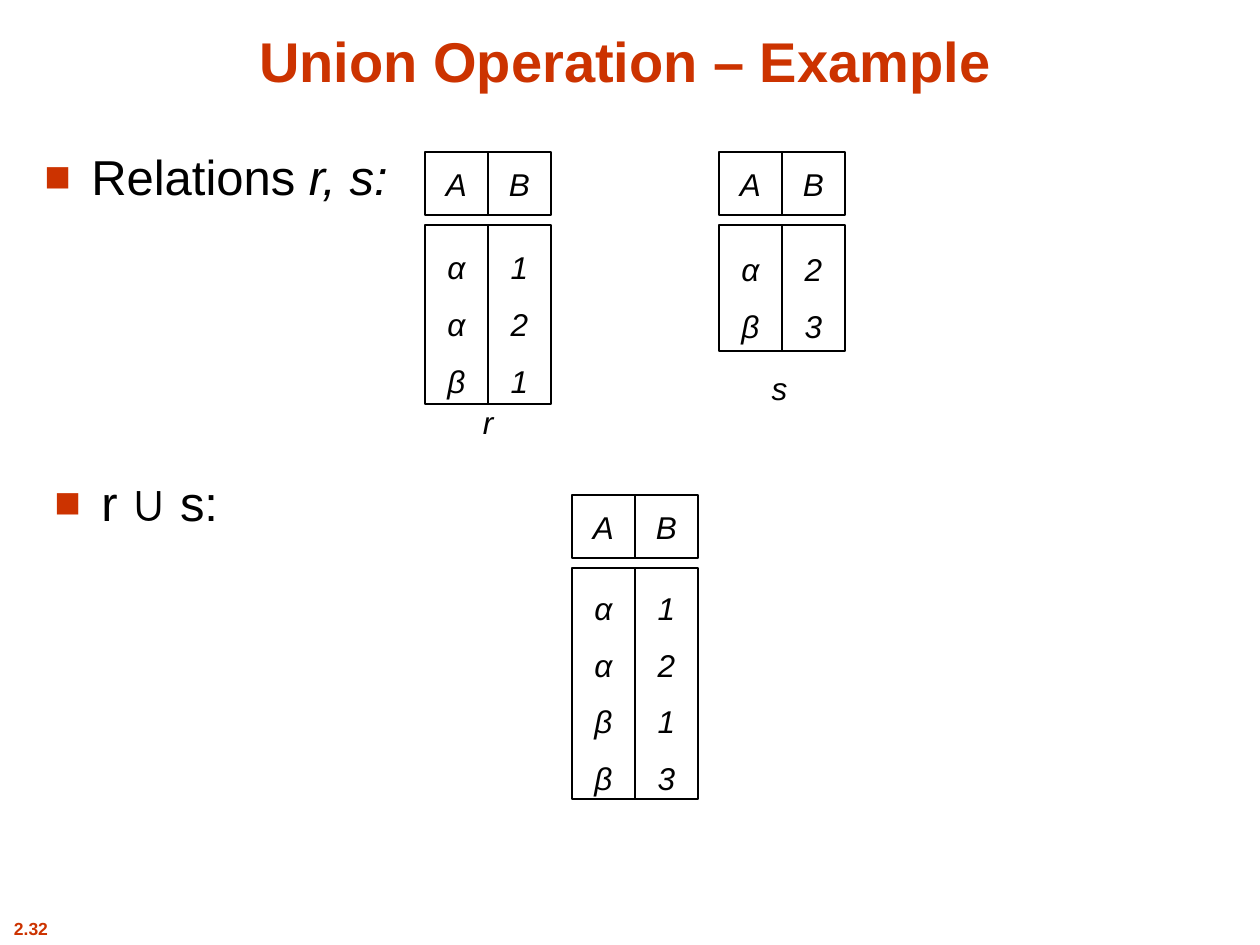
import pptx
import pptx.util
import pptx.dml.color
import pptx.enum.shapes
import pptx.enum.text
from dataclasses import dataclass
from lxml import etree

ALIGN = pptx.enum.text.PP_ALIGN
ANCHOR = pptx.enum.text.MSO_ANCHOR


@dataclass(frozen=True)
class Theme:
    font: str = "Arial"
    accent: str = "CC3300"
    ink: str = "000000"
    paper: str = "FFFFFF"
    title: int = 32
    bullet: int = 28
    cell: int = 18
    number: int = 10
    border: float = 0.75


THEME = Theme()

# Content: places are left, top, width, height in px
TITLE = ("Union Operation – Example", (32, 16, 1187, 84))
BULLETS = [
    ([("Relations ", False), ("r, s:", True)], (32, 147, 388, 116)),
    ([("r ∪ s:", False)], (42, 473, 252, 73)),
]
RELATIONS = [  # left, top, body height, columns
    (425, 152, 179, {"A": ["α", "α", "β"], "B": ["1", "2", "1"]}),
    (719, 152, 126, {"A": ["α", "β"], "B": ["2", "3"]}),
    (572, 495, 231, {"A": ["α", "α", "β", "β"], "B": ["1", "2", "1", "3"]}),
]
NAMES = [("r", (470, 397, 36, 50)), ("s", (759, 363, 41, 50))]
NUMBER = ("2.32", (0, 911, 62, 34))
CELL, GAP = 63, 10


def px(length):
    return pptx.util.Emu(round(length * 914400 / 126))


def color(code):
    return pptx.dml.color.RGBColor.from_string(code)


def style(para, size, code=THEME.ink, bold=False, italic=None, align=ALIGN.CENTER):
    para.alignment = align
    font = para.font
    font.name, font.size = THEME.font, pptx.util.Pt(size)
    font.bold, font.italic = bold, italic
    font.color.rgb = color(code)


def add_text(page, place):
    return page.shapes.add_textbox(*map(px, place)).text_frame


def add_label(page, text, place, size, **look):
    frame = add_text(page, place)
    frame.word_wrap = False
    frame.vertical_anchor = ANCHOR.MIDDLE
    frame.text = text
    style(frame.paragraphs[0], size, **look)


def add_bullet(page, spans, place):
    frame = add_text(page, place)
    frame.word_wrap = True
    para = frame.paragraphs[0]
    style(para, THEME.bullet, align=ALIGN.LEFT)
    para.line_spacing = 0.9
    for text, italic in spans:
        span = para.add_run()
        span.text = text
        span.font.italic = italic
    # Square bullet with hanging indent, placed before the default run properties
    props = para._p.get_or_add_pPr()
    props.set("marL", str(px(47)))
    props.set("indent", str(-px(47)))
    space = "http://schemas.openxmlformats.org/drawingml/2006/main"
    marks = etree.fromstring(
        f'<m xmlns:a="{space}"><a:buClr><a:srgbClr val="{THEME.accent}"/></a:buClr>'
        '<a:buSzPct val="90000"/><a:buFont typeface="Arial"/><a:buChar char="■"/></m>')
    defaults = props.find(f"{{{space}}}defRPr")
    for mark in list(marks):
        defaults.addprevious(mark)


def add_cell(page, lines, place, spacing):
    box = page.shapes.add_shape(pptx.enum.shapes.MSO_SHAPE.RECTANGLE, *map(px, place))
    box.shadow.inherit = False
    box.fill.solid()
    box.fill.fore_color.rgb = color(THEME.paper)
    box.line.color.rgb = color(THEME.ink)
    box.line.width = pptx.util.Pt(THEME.border)
    frame = box.text_frame
    frame.word_wrap = False
    frame.vertical_anchor = ANCHOR.MIDDLE
    frame.text = "\n".join(lines)
    for para in frame.paragraphs:
        style(para, THEME.cell, italic=True)
        para.line_spacing = spacing


def add_relation(page, left, top, height, columns):
    for index, (name, values) in enumerate(columns.items()):
        x = left + index * CELL
        add_cell(page, [name], (x, top, CELL, CELL), 1.0)
        add_cell(page, values, (x, top + CELL + GAP, CELL, height), 1.5)


def main():
    deck = pptx.Presentation()
    deck.slide_width, deck.slide_height = px(1260), px(945)
    page = deck.slides.add_slide(deck.slide_layouts[5])

    # Title
    text, place = TITLE
    title = page.shapes.title
    title.left, title.top, title.width, title.height = map(px, place)
    frame = title.text_frame
    frame.text = text
    frame.auto_size = pptx.enum.text.MSO_AUTO_SIZE.NONE
    frame.vertical_anchor = ANCHOR.BOTTOM
    style(frame.paragraphs[0], THEME.title, code=THEME.accent, bold=True)

    # Bullets, relations and their names
    for spans, place in BULLETS:
        add_bullet(page, spans, place)
    for relation in RELATIONS:
        add_relation(page, *relation)
    for text, place in NAMES:
        add_label(page, text, place, THEME.cell, italic=True)

    # Page number
    add_label(page, *NUMBER, THEME.number, code=THEME.accent, bold=True)
    deck.save("out.pptx")


if __name__ == "__main__":
    main()
